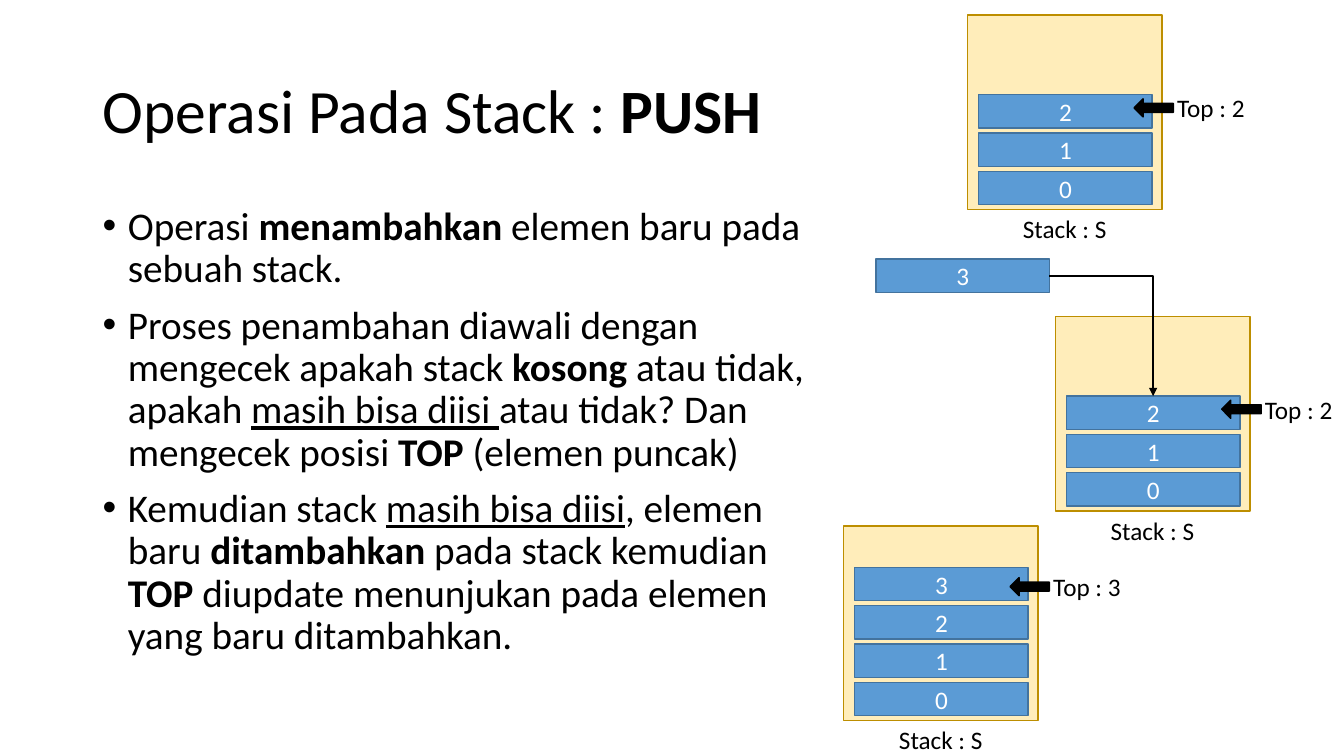
from dataclasses import dataclass

from lxml import etree
from pptx import Presentation
from pptx.dml.color import RGBColor
from pptx.enum.shapes import MSO_CONNECTOR, MSO_SHAPE
from pptx.enum.text import MSO_ANCHOR, MSO_AUTO_SIZE, PP_ALIGN
from pptx.oxml.ns import qn
from pptx.util import Inches, Pt

RECT, LEFT_ARROW = MSO_SHAPE.RECTANGLE, MSO_SHAPE.LEFT_ARROW
ELBOW = MSO_CONNECTOR.ELBOW
LEFT, CENTER = PP_ALIGN.LEFT, PP_ALIGN.CENTER
MIDDLE, TOP = MSO_ANCHOR.MIDDLE, MSO_ANCHOR.TOP
FIT_SHAPE = MSO_AUTO_SIZE.SHAPE_TO_FIT_TEXT
TOP_SIDE, RIGHT_SIDE = 0, 3

# The grid has ten columns and ten rows to the inch.
COLS, ROWS = 133.33, 75
SLOT_W, SLOT_H, SLOT_PITCH = 17.2, 3.3, 3.8
STACK_SIZE = 19.3
FIRST_SLOT_COL, FIRST_SLOT_ROW = 1.1, 15.5


@dataclass(frozen=True)
class Theme:
    font: str = "Calibri"
    ink: str = "000000"
    paper: str = "FFFFFF"
    slot: str = "5B9BD5"
    slot_line: str = "43739E"
    stack: str = "FFC000"
    stack_line: str = "BD8E00"
    stack_alpha: int = 27
    title_size: int = 44
    body_size: int = 28
    label_size: int = 18


@dataclass(frozen=True)
class Span:
    text: str
    bold: bool = False
    underline: bool = False


@dataclass(frozen=True)
class Stack:
    col: float
    row: float
    count: int
    pointer_drop: float  # rows from the upper slot's top to the pointer


THEME = Theme()
TITLE = [Span("Operasi Pada Stack : "), Span("PUSH", bold=True)]
BULLETS = [
    [Span("Operasi "), Span("menambahkan ", bold=True),
     Span("elemen baru pada sebuah stack.")],
    [Span("Proses penambahan diawali dengan mengecek apakah stack "),
     Span("kosong ", bold=True), Span("atau tidak, apakah "),
     Span("masih bisa diisi ", underline=True),
     Span("atau tidak? Dan mengecek posisi "), Span("TOP", bold=True),
     Span(" (elemen puncak)")],
    [Span("Kemudian stack "), Span("masih bisa diisi", underline=True),
     Span(", elemen baru "), Span("ditambahkan ", bold=True),
     Span("pada stack kemudian "), Span("TOP ", bold=True),
     Span("diupdate menunjukan pada elemen yang baru ditambahkan.")],
]
BEFORE = Stack(96, 1.5, 3, 0.4)
PUSHING = Stack(104.7, 31.4, 3, 0.4)
AFTER = Stack(83.7, 52.2, 4, 1)


def grid(cells: float):
    return Inches(cells / 10)


def color(code: str) -> RGBColor:
    return RGBColor.from_string(code)


def add_spans(p, spans: list[Span], size: int, ink: str = THEME.ink) -> None:
    for span in spans:
        r = p.add_run()
        r.text = span.text
        r.font.name = THEME.font
        r.font.size = Pt(size)
        r.font.bold = span.bold
        r.font.underline = span.underline
        r.font.color.rgb = color(ink)


def add_box(shapes, kind, col: float, row: float, width: float, height: float,
            fill: str, line: str):
    sp = shapes.add_shape(kind, grid(col), grid(row), grid(width), grid(height))
    sp.shadow.inherit = False
    sp.fill.solid()
    sp.fill.fore_color.rgb = color(fill)
    sp.line.color.rgb = color(line)
    sp.line.width = Pt(1)
    return sp


def add_slot(shapes, col: float, row: float, value: int):
    sp = add_box(shapes, RECT, col, row, SLOT_W, SLOT_H, THEME.slot, THEME.slot_line)
    tf = sp.text_frame
    tf.vertical_anchor = MIDDLE
    p = tf.paragraphs[0]
    p.alignment = CENTER
    add_spans(p, [Span(str(value))], THEME.label_size, THEME.paper)
    return sp


def add_label(shapes, col: float, row: float, width: float, text: str) -> None:
    tf = shapes.add_textbox(grid(col), grid(row), grid(width), grid(4)).text_frame
    tf.word_wrap = False
    tf.auto_size = FIT_SHAPE
    add_spans(tf.paragraphs[0], [Span(text)], THEME.label_size)


def add_stack(shapes, stack: Stack):
    """Draw a stack with its labels and return its upper slot."""
    frame = add_box(shapes, RECT, stack.col, stack.row, STACK_SIZE, STACK_SIZE,
                    THEME.stack, THEME.stack_line)
    rgb = frame.fill._xPr.find(qn("a:solidFill")).find(qn("a:srgbClr"))
    etree.SubElement(rgb, qn("a:alpha"), val=str(THEME.stack_alpha * 1000))

    for value in range(stack.count):
        slot_row = stack.row + FIRST_SLOT_ROW - value * SLOT_PITCH
        slot = add_slot(shapes, stack.col + FIRST_SLOT_COL, slot_row, value)
    add_label(shapes, stack.col + 4.5, stack.row + 19.2, 10.4, "Stack : S")
    pointer_row = slot_row + stack.pointer_drop
    add_label(shapes, stack.col + 19.8, pointer_row - 1.1, 8.8,
              f"Top : {stack.count - 1}")
    add_box(shapes, LEFT_ARROW, stack.col + 16.5, pointer_row, 3.9, 1.8,
            THEME.ink, THEME.ink)
    return slot


def add_push_arrow(shapes, new_slot, top_slot) -> None:
    cxn = shapes.add_connector(ELBOW, 0, 0, 0, 0)
    cxn.begin_connect(new_slot, RIGHT_SIDE)
    cxn.end_connect(top_slot, TOP_SIDE)
    cxn.line.color.rgb = color(THEME.ink)
    cxn.line.width = Pt(1.5)
    props = cxn._element.spPr
    props.find(qn("a:prstGeom")).set("prst", "bentConnector2")
    etree.SubElement(props.find(qn("a:ln")), qn("a:tailEnd"), type="triangle")
    etree.SubElement(props, qn("a:effectLst"))


def set_title(title) -> None:
    title.left, title.top = grid(9.2), grid(4)
    title.width, title.height = grid(115), grid(14.5)
    tf = title.text_frame
    tf.vertical_anchor = MIDDLE
    p = tf.paragraphs[0]
    p.alignment = LEFT
    p.line_spacing = 0.9
    add_spans(p, TITLE, THEME.title_size)


def add_bullets(shapes) -> None:
    tf = shapes.add_textbox(grid(9.2), grid(20), grid(72.1), grid(47.6)).text_frame
    tf.word_wrap = True
    tf.vertical_anchor = TOP
    for i, spans in enumerate(BULLETS):
        p = tf.add_paragraph() if i else tf.paragraphs[0]
        p.line_spacing = 0.9
        p.space_before = Pt(10)
        props = p._p.get_or_add_pPr()
        props.set("marL", str(grid(2.5)))
        props.set("indent", str(-grid(2.5)))
        etree.SubElement(props, qn("a:buFont"), typeface="Arial")
        etree.SubElement(props, qn("a:buChar"), char="•")
        add_spans(p, spans, THEME.body_size)


def main() -> None:
    prs = Presentation()
    prs.slide_width, prs.slide_height = grid(COLS), grid(ROWS)
    slide = prs.slides.add_slide(prs.slide_layouts.get_by_name("Title Only"))
    shapes = slide.shapes
    set_title(shapes.title)
    add_bullets(shapes)
    add_stack(shapes, BEFORE)
    new_slot = add_slot(shapes, 86.9, 25.7, 3)
    top_slot = add_stack(shapes, PUSHING)
    add_push_arrow(shapes, new_slot, top_slot)
    add_stack(shapes, AFTER)
    prs.save("out.pptx")


if __name__ == "__main__":
    main()
